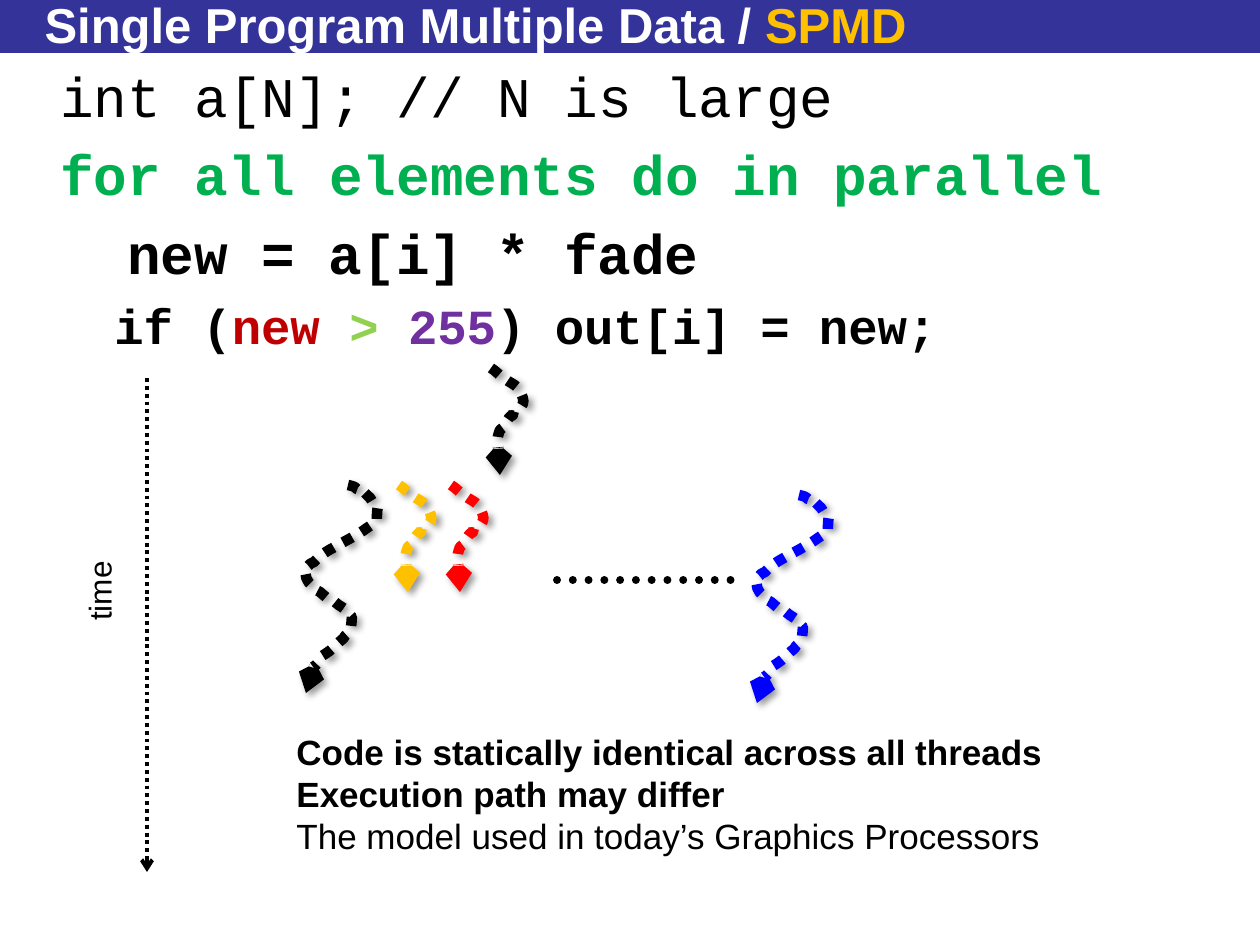
"""Build a slide on the single program, multiple data model."""
from dataclasses import dataclass

from lxml.etree import SubElement
from pptx import Presentation
from pptx.dml.color import RGBColor
from pptx.enum.dml import MSO_LINE
from pptx.enum.shapes import MSO_CONNECTOR, MSO_SHAPE
from pptx.enum.text import MSO_ANCHOR, MSO_AUTO_SIZE, PP_ALIGN
from pptx.oxml.ns import qn
from pptx.util import Pt

SCALE = 914400 / 126


@dataclass(frozen=True)
class Theme:
    sans: str = "Arial"
    mono: str = "Courier New"
    black: str = "000000"
    white: str = "FFFFFF"
    bar: str = "333399"
    gold: str = "FFC000"
    green: str = "00B050"
    lime: str = "92D050"
    crimson: str = "C00000"
    purple: str = "7030A0"
    red: str = "FF0000"
    blue: str = "0000FF"
    title: int = 28
    code: int = 32
    subcode: int = 28
    label: int = 18
    note: int = 20
    code_gap: float = 0.2


theme = Theme()

TITLE = [("Single Program Multiple Data / ", theme.white, True), ("SPMD", theme.gold, True)]
CODE = [
    (48, theme.code, [("int a[N]; // N is large", theme.black, False)]),
    (48, theme.code, [("for all elements do in parallel", theme.green, True)]),
    (115, theme.code, [("new = a[i] * fade", theme.black, True)]),
    (102, theme.subcode, [
        ("if (", theme.black, True),
        ("new ", theme.crimson, True),
        ("> ", theme.lime, True),
        ("255", theme.purple, True),
        (") out[i] = new;", theme.black, True),
    ]),
]
NOTES = [
    ("Code is statically identical across all threads", True),
    ("Execution path may differ", True),
    ("The model used in today’s Graphics Processors", False),
]
SHORT_PATH = [
    (5, 3), (9, 8), (14, 11), (18, 14), (23, 16), (26, 19),
    (33, 29), (37, 38), (23, 43), (20, 53), (24, 43), (18, 50),
    (8, 64), (18, 55), (9, 62), (5, 73), (9, 97), (9, 107),
]
LONG_PATH = [
    (4, 1), (6, 1), (9, 4), (15, 6), (5, 4), (14, 5),
    (16, 8), (19, 9), (20, 11), (23, 13), (23, 15), (24, 16),
    (26, 19), (29, 20), (30, 21), (29, 26), (29, 31), (29, 35),
    (28, 38), (23, 40), (19, 43), (10, 50), (-5, 57), (-15, 63),
    (-23, 67), (-29, 72), (-34, 77), (-35, 78), (-37, 78), (-38, 79),
    (-39, 81), (-43, 83), (-43, 83), (-42, 91), (-43, 96), (-34, 102),
    (-33, 105), (-30, 106), (-28, 107), (-23, 111), (-20, 115), (-13, 117),
    (-9, 121), (-3, 123), (0, 127), (1, 129), (4, 132), (4, 132),
    (3, 139), (5, 145), (-3, 151), (-4, 154), (-8, 156), (-11, 159),
    (-15, 164), (-21, 168), (-26, 171), (-29, 174), (-29, 178), (-32, 180),
    (-33, 181), (-35, 181), (-35, 183), (-35, 185), (-42, 205), (-42, 208),
]
THREADS = [
    (348, 485, LONG_PATH, theme.black),
    (491, 368, SHORT_PATH, theme.black),
    (399, 485, SHORT_PATH, theme.gold),
    (451, 485, SHORT_PATH, theme.red),
    (799, 495, LONG_PATH, theme.blue),
]
TIME_AXIS = (147, 378, 147, 872)
MORE_THREADS = (557, 580, 735, 580)


def px(value):
    return round(value * SCALE)


def add_runs(paragraph, runs, font, size):
    for text, color, bold in runs:
        run = paragraph.add_run()
        run.text = text
        run.font.name = font
        run.font.size = Pt(size)
        run.font.bold = bold
        run.font.color.rgb = RGBColor.from_string(color)


def add_text_box(slide, box, wrap):
    shape = slide.shapes.add_textbox(*map(px, box))
    shape.text_frame.word_wrap = wrap
    return shape


def next_paragraph(frame, index):
    return frame.add_paragraph() if index else frame.paragraphs[0]


def style_line(shape, color, width, arrow_size=None, cap="flat"):
    shape.line.color.rgb = RGBColor.from_string(color)
    shape.line.width = Pt(width)
    shape.line.dash_style = MSO_LINE.ROUND_DOT
    line = shape.element.spPr.find(qn("a:ln"))
    line.set("cap", cap)
    if arrow_size:
        SubElement(line, qn("a:tailEnd"), type="arrow", w=arrow_size, len=arrow_size)


def add_dotted_line(slide, ends, width, arrow_size=None, cap="flat"):
    connector = slide.shapes.add_connector(MSO_CONNECTOR.STRAIGHT, *map(px, ends))
    style_line(connector, theme.black, width, arrow_size, cap)
    SubElement(connector.element.spPr, qn("a:effectLst"))


def add_thread(slide, left, top, points, color):
    builder = slide.shapes.build_freeform(left, top, scale=SCALE)
    builder.add_line_segments([(left + x, top + y) for x, y in points], close=False)
    shape = builder.convert_to_shape()
    outline = shape.element.spPr.find(".//" + qn("a:path"))
    segments = outline.findall(qn("a:lnTo"))
    for start in range(0, len(segments), 3):
        curve = SubElement(outline, qn("a:cubicBezTo"))
        for segment in segments[start:start + 3]:
            curve.append(segment[0])
            outline.remove(segment)
    shape.fill.background()
    style_line(shape, color, 6, "sm")
    shape.shadow.inherit = False
    effects = shape.element.spPr.find(qn("a:effectLst"))
    shadow = SubElement(effects, qn("a:outerShdw"), blurRad=str(Pt(4)), dist=str(Pt(3)), dir="2700000")
    shade = SubElement(shadow, qn("a:srgbClr"), val=theme.black)
    SubElement(shade, qn("a:alpha"), val="40000")


def add_title(slide):
    bar = slide.shapes.add_shape(MSO_SHAPE.RECTANGLE, 0, 0, px(1260), px(53))
    bar.fill.solid()
    bar.fill.fore_color.rgb = RGBColor.from_string(theme.bar)
    bar.line.fill.background()
    bar.shadow.inherit = False
    title = slide.shapes.title
    title.element.addprevious(bar.element)
    title.left, title.top, title.width, title.height = map(px, (32, 6, 1165, 36))
    frame = title.text_frame
    frame.auto_size = MSO_AUTO_SIZE.NONE
    frame.vertical_anchor = MSO_ANCHOR.MIDDLE
    frame.paragraphs[0].alignment = PP_ALIGN.LEFT
    add_runs(frame.paragraphs[0], TITLE, theme.sans, theme.title)


def main():
    presentation = Presentation()
    presentation.slide_width, presentation.slide_height = px(1260), px(945)
    slide = presentation.slides.add_slide(presentation.slide_layouts[5])
    add_title(slide)

    code = add_text_box(slide, (0, 55, 1260, 300), True).text_frame
    for index, (indent, size, runs) in enumerate(CODE):
        paragraph = next_paragraph(code, index)
        paragraph.space_before = Pt(size * theme.code_gap)
        paragraph._p.get_or_add_pPr().set("marL", str(px(indent)))
        add_runs(paragraph, runs, theme.mono, size)

    add_dotted_line(slide, TIME_AXIS, 2.25, "med")
    label = add_text_box(slide, (44, 566, 110, 50), False)
    label.rotation = 270
    caption = label.text_frame.paragraphs[0]
    caption.alignment = PP_ALIGN.CENTER
    add_runs(caption, [("time", theme.black, False)], theme.sans, theme.label)

    add_dotted_line(slide, MORE_THREADS, 4.5, cap="rnd")
    for thread in THREADS:
        add_thread(slide, *thread)

    notes = add_text_box(slide, (284, 724, 775, 140), False).text_frame
    for index, (text, bold) in enumerate(NOTES):
        add_runs(next_paragraph(notes, index), [(text, theme.black, bold)], theme.sans, theme.note)

    presentation.save("out.pptx")


if __name__ == "__main__":
    main()
